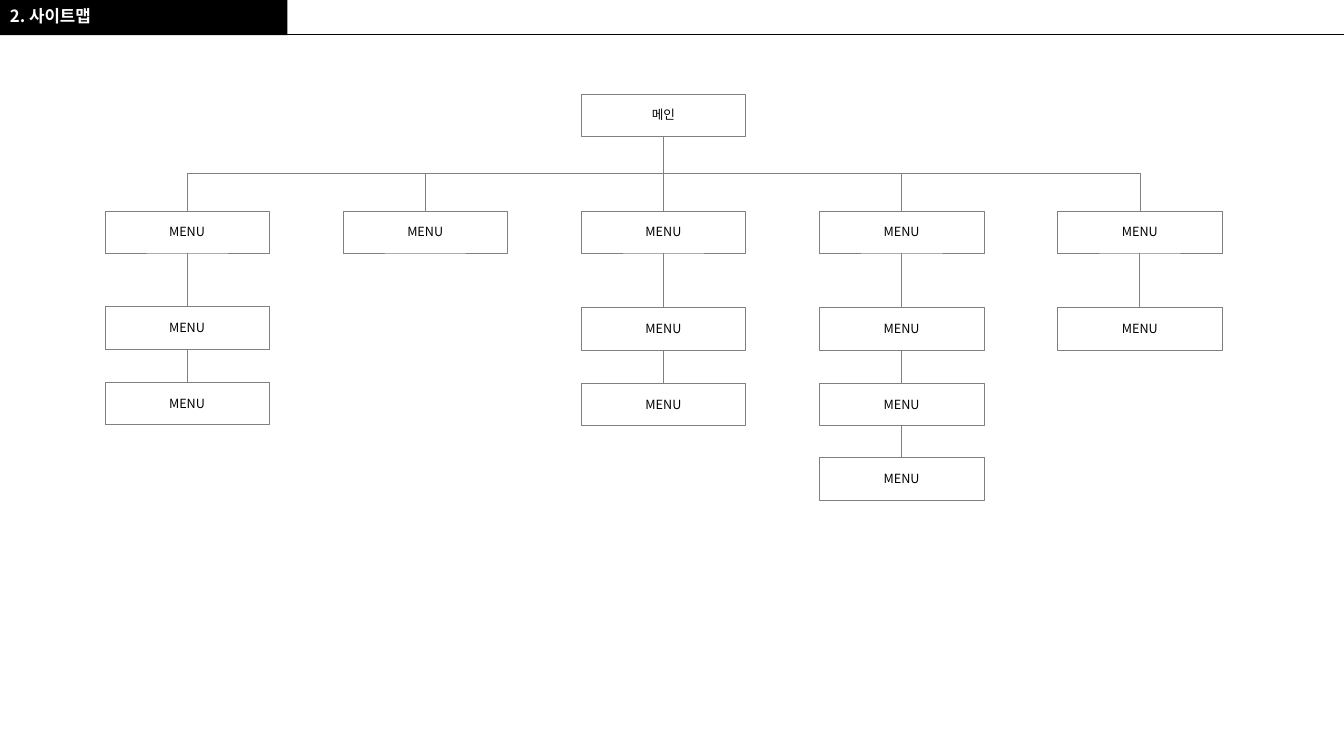
"""Build a sitemap slide: a main page with five columns of menu boxes."""
from dataclasses import dataclass

from lxml import etree
from pptx import Presentation
from pptx.dml.color import RGBColor
from pptx.enum.shapes import MSO_CONNECTOR, MSO_SHAPE
from pptx.enum.text import MSO_ANCHOR, PP_ALIGN
from pptx.oxml.ns import qn
from pptx.shapes.autoshape import Shape
from pptx.shapes.connector import Connector
from pptx.slide import Slide
from pptx.text.text import _Paragraph
from pptx.util import Inches, Pt

RECTANGLE = MSO_SHAPE.RECTANGLE
STRAIGHT = MSO_CONNECTOR.STRAIGHT
ELBOW = MSO_CONNECTOR.ELBOW
MIDDLE = MSO_ANCHOR.MIDDLE
TOP = MSO_ANCHOR.TOP
CENTER = PP_ALIGN.CENTER

FONT = "Noto Sans CJK KR"
COLORS = {"black": "000000", "white": "FFFFFF", "gray": "808080"}
BOX_WIDTH, BOX_HEIGHT = 1.63, 0.42
FIRST_LEFT, LAST_LEFT = 1.04, 10.49
MAIN_TOP = 0.93
ROW_TOPS = (2.09, 3.05, 3.8, 4.54)
TOP_SITE, BOTTOM_SITE = 0, 2
QUARTER_TURN = 5400000


@dataclass(frozen=True)
class MenuColumn:
    count: int
    lift: float = 0


COLUMNS = (MenuColumn(3, 0.01), MenuColumn(1), MenuColumn(3), MenuColumn(4), MenuColumn(2))


def rgb(name: str) -> RGBColor:
    return RGBColor.from_string(COLORS[name])


def add_text(paragraph: _Paragraph, text: str, size: float, color: str, bold: bool = False) -> None:
    run = paragraph.add_run()
    run.text = text
    run.font.name = FONT
    run.font.size = Pt(size)
    run.font.bold = bold
    run.font.color.rgb = rgb(color)
    east_asian = etree.SubElement(run.font._element, qn("a:ea"))
    east_asian.set("typeface", FONT)


def style_connector(connector: Connector, color: str) -> None:
    connector.line.color.rgb = rgb(color)
    connector.line.width = Pt(0.5)
    etree.SubElement(connector._element.spPr, qn("a:effectLst"))


def add_header(slide: Slide, title: str) -> None:
    bar = slide.shapes.add_shape(RECTANGLE, 0, 0, Inches(2.85), Inches(0.35))
    bar.shadow.inherit = False
    bar.fill.solid()
    bar.fill.fore_color.rgb = rgb("black")
    bar.line.fill.background()
    rule = slide.shapes.add_connector(
        STRAIGHT, Inches(2.76), Inches(0.34), Inches(13.33), Inches(0.34)
    )
    style_connector(rule, "black")
    text_box = slide.shapes.add_textbox(0, Inches(0.03), Inches(2.85), Inches(0.32))
    text_box.text_frame.word_wrap = True
    text_box.text_frame.vertical_anchor = TOP
    paragraph = text_box.text_frame.paragraphs[0]
    paragraph.line_spacing = 0.9
    paragraph.space_before = Pt(10)
    add_text(paragraph, title, 12, "white", bold=True)


def add_box(slide: Slide, left: float, top: float, label: str) -> Shape:
    box = slide.shapes.add_shape(
        RECTANGLE, Inches(left), Inches(top), Inches(BOX_WIDTH), Inches(BOX_HEIGHT)
    )
    box.shadow.inherit = False
    box.fill.solid()
    box.fill.fore_color.rgb = rgb("white")
    box.line.color.rgb = rgb("gray")
    box.line.width = Pt(0.25)
    box.text_frame.word_wrap = True
    box.text_frame.vertical_anchor = MIDDLE
    paragraph = box.text_frame.paragraphs[0]
    paragraph.alignment = CENTER
    add_text(paragraph, label, 9, "black")
    return box


def turn_elbow(connector: Connector) -> None:
    """Turn an elbow so that it leaves and arrives vertically."""
    goes_right = connector.end_x > connector.begin_x
    span, drop = connector.width, connector.height
    center_x = connector.left + span // 2
    center_y = connector.top + drop // 2
    connector.left, connector.top = center_x - drop // 2, center_y - span // 2
    connector.width, connector.height = drop, span
    frame = connector._element.spPr.find(qn("a:xfrm"))
    frame.set("rot", str(QUARTER_TURN * (3 if goes_right else 1)))
    frame.set("flipH", "1" if goes_right else "0")
    frame.set("flipV", "0")


def link(slide: Slide, parent: Shape, child: Shape) -> None:
    is_straight = parent.left == child.left
    connector = slide.shapes.add_connector(
        STRAIGHT if is_straight else ELBOW,
        parent.left + parent.width // 2,
        parent.top + parent.height,
        child.left + child.width // 2,
        child.top,
    )
    connector.begin_connect(parent, BOTTOM_SITE)
    connector.end_connect(child, TOP_SITE)
    if not is_straight:
        turn_elbow(connector)
    style_connector(connector, "gray")


def add_sitemap(slide: Slide) -> None:
    step = (LAST_LEFT - FIRST_LEFT) / (len(COLUMNS) - 1)
    lefts = [FIRST_LEFT + index * step for index in range(len(COLUMNS))]
    main_box = add_box(slide, lefts[len(lefts) // 2], MAIN_TOP, "메인")
    for left, column in zip(lefts, COLUMNS):
        parent = main_box
        for row, top in enumerate(ROW_TOPS[:column.count]):
            menu_box = add_box(slide, left, top - (column.lift if row else 0), "MENU")
            link(slide, parent, menu_box)
            parent = menu_box


def main() -> None:
    presentation = Presentation()
    presentation.slide_width = Inches(13.33)
    presentation.slide_height = Inches(7.5)
    slide = presentation.slides.add_slide(presentation.slide_layouts[6])
    add_header(slide, "2. 사이트맵")
    add_sitemap(slide)
    presentation.save("out.pptx")


main()
